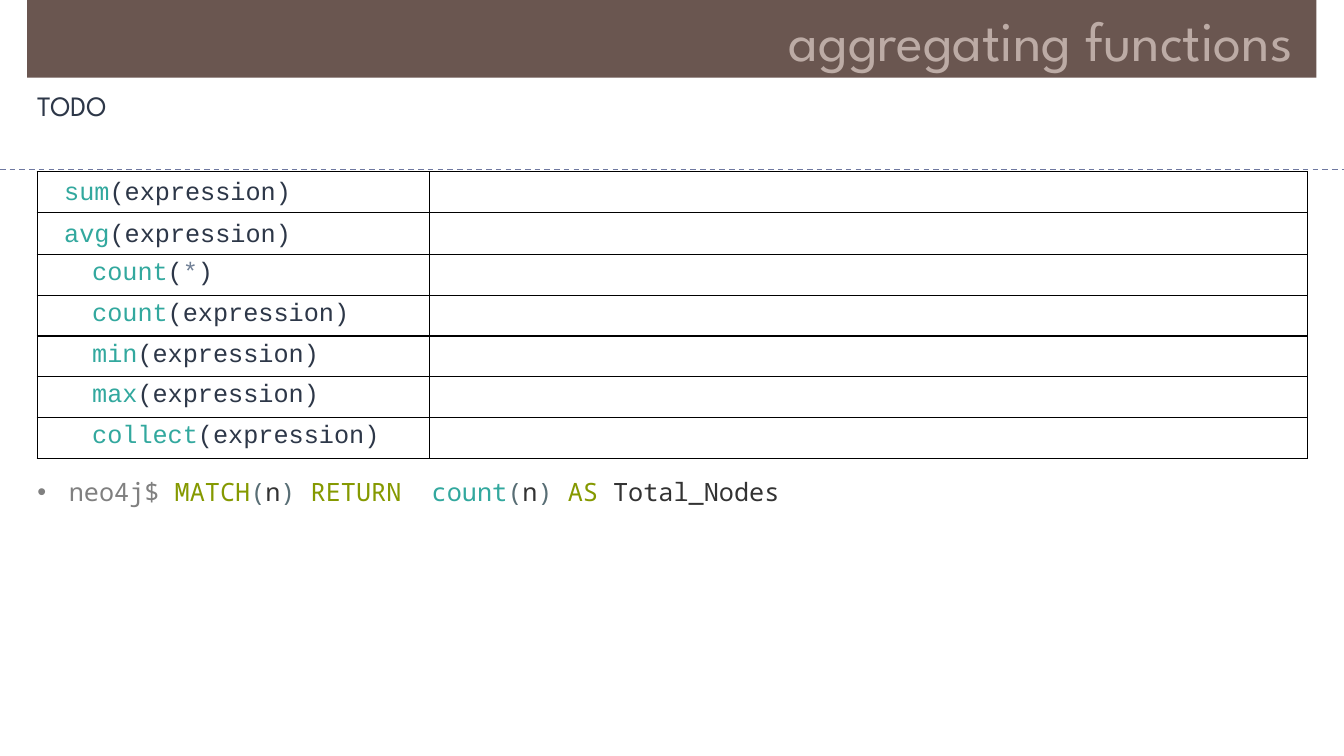
from pptx import Presentation
from pptx.dml.color import RGBColor
from pptx.enum.dml import MSO_LINE
from pptx.enum.shapes import MSO_CONNECTOR
from pptx.enum.text import MSO_ANCHOR, MSO_AUTO_SIZE, PP_ALIGN
from pptx.oxml import parse_xml
from pptx.oxml.ns import nsdecls
from pptx.util import Pt
from lxml.etree import SubElement

BROWN = RGBColor(0x6A, 0x56, 0x50)
SAND = RGBColor(0xBC, 0xAB, 0xA5)
INK = RGBColor(0x2D, 0x37, 0x48)
TEAL = RGBColor(0x32, 0xA8, 0x9E)
STAR = RGBColor(0x71, 0x80, 0x96)
GRAY = RGBColor(0x80, 0x80, 0x80)
OLIVE = RGBColor(0x85, 0x99, 0x00)
SLATE = RGBColor(0x58, 0x6E, 0x75)
DARK = RGBColor(0x33, 0x33, 0x33)
DASH = RGBColor(0x6E, 0x78, 0xA0)

TITLE = "aggregating functions "
NOTE = "TODO"
ARG = [("(expression)", INK)]
CALLS = [
    ("sum", ARG),
    ("avg", ARG),
    ("count", [("(", INK), ("*", STAR), (")", INK)]),
    ("count", ARG),
    ("min", ARG),
    ("max", ARG),
    ("collect", ARG),
]
QUERY = [
    ("neo4j$ ", GRAY), ("MATCH", OLIVE), ("(", SLATE), ("n", DARK), (") ", SLATE),
    ("RETURN  ", OLIVE), ("count", TEAL), ("(", SLATE), ("n", DARK), (") ", SLATE),
    ("AS ", OLIVE), ("Total_Nodes", DARK),
]

WIDE, HIGH = 960, 540
LEFT, SPAN = 19.44, 920.88
GRID_LEFT, GRID_TOP = 26.64, 122.4
COLS = (280.08, 627.12)
ROW = 29.2


def place(shape, left, top, width, height):
    shape.left, shape.top = Pt(left), Pt(top)
    shape.width, shape.height = Pt(width), Pt(height)


def style(run, font, size, color):
    run.font.name = font
    run.font.size = Pt(size)
    run.font.color.rgb = color


def write(para, parts, font, size):
    for text, color in parts:
        run = para.add_run()
        run.text = text
        style(run, font, size, color)


def border(cell):
    props = cell._tc.get_or_add_tcPr()
    for spot, side in enumerate("LRTB"):
        props.insert(spot, parse_xml(
            f'<a:ln{side} {nsdecls("a")} w="12700"><a:solidFill>'
            f'<a:srgbClr val="000000"/></a:solidFill></a:ln{side}>'))


deck = Presentation()
deck.slide_width, deck.slide_height = Pt(WIDE), Pt(HIGH)
slide = deck.slides.add_slide(deck.slide_layouts[1])
title, body = slide.placeholders

place(title, LEFT, 0, SPAN, 55.44)
title.fill.solid()
title.fill.fore_color.rgb = BROWN
frame = title.text_frame
frame.text = TITLE
frame.auto_size = MSO_AUTO_SIZE.NONE
frame.vertical_anchor = MSO_ANCHOR.MIDDLE
frame.paragraphs[0].alignment = PP_ALIGN.RIGHT
style(frame.paragraphs[0].runs[0], "League Spartan", 40, SAND)

note = slide.shapes.add_textbox(Pt(LEFT), Pt(59.76), Pt(SPAN), Pt(31.68))
note.text_frame.word_wrap = True
note.text_frame.text = NOTE
para = note.text_frame.paragraphs[0]
para.alignment = PP_ALIGN.JUSTIFY
style(para.runs[0], "League Spartan", 20, INK)

rule = slide.shapes.add_connector(
    MSO_CONNECTOR.STRAIGHT, 0, Pt(120.96), Pt(WIDE), Pt(120.96))
rule.line.color.rgb = DASH
rule.line.width = Pt(1)
rule.line.dash_style = MSO_LINE.DASH
rule._element.spPr.append(parse_xml(f'<a:effectLst {nsdecls("a")}/>'))

place(body, LEFT, 336.96, SPAN, 28.8)
body.text_frame.auto_size = MSO_AUTO_SIZE.NONE
para = body.text_frame.paragraphs[0]
para.space_before = Pt(0)
props = para._p.get_or_add_pPr()
props.set("marL", str(Pt(22.5)))
props.set("indent", str(-Pt(22.5)))
SubElement(props, "{http://schemas.openxmlformats.org/drawingml/2006/main}buChar", char="•")
write(para, QUERY, "Noto Sans Mono", 18)

grid = slide.shapes.add_table(
    len(CALLS), len(COLS), Pt(GRID_LEFT), Pt(GRID_TOP),
    Pt(sum(COLS)), Pt(ROW * len(CALLS))).table
grid.first_row = grid.horz_banding = False
for col, width in zip(grid.columns, COLS):
    col.width = Pt(width)
for index, (name, rest) in enumerate(CALLS):
    grid.rows[index].height = Pt(ROW)
    for cell in grid.rows[index].cells:
        cell.fill.background()
        border(cell)
    cell = grid.cell(index, 0)
    inset, top = (19.2, 6) if index < 2 else (39.2, 3.6)
    cell.margin_left, cell.margin_top = Pt(inset), Pt(top)
    cell.margin_bottom = Pt(2)
    write(cell.text_frame.paragraphs[0], [(name, TEAL)] + rest, "Courier New", 18)

deck.save("out.pptx")
